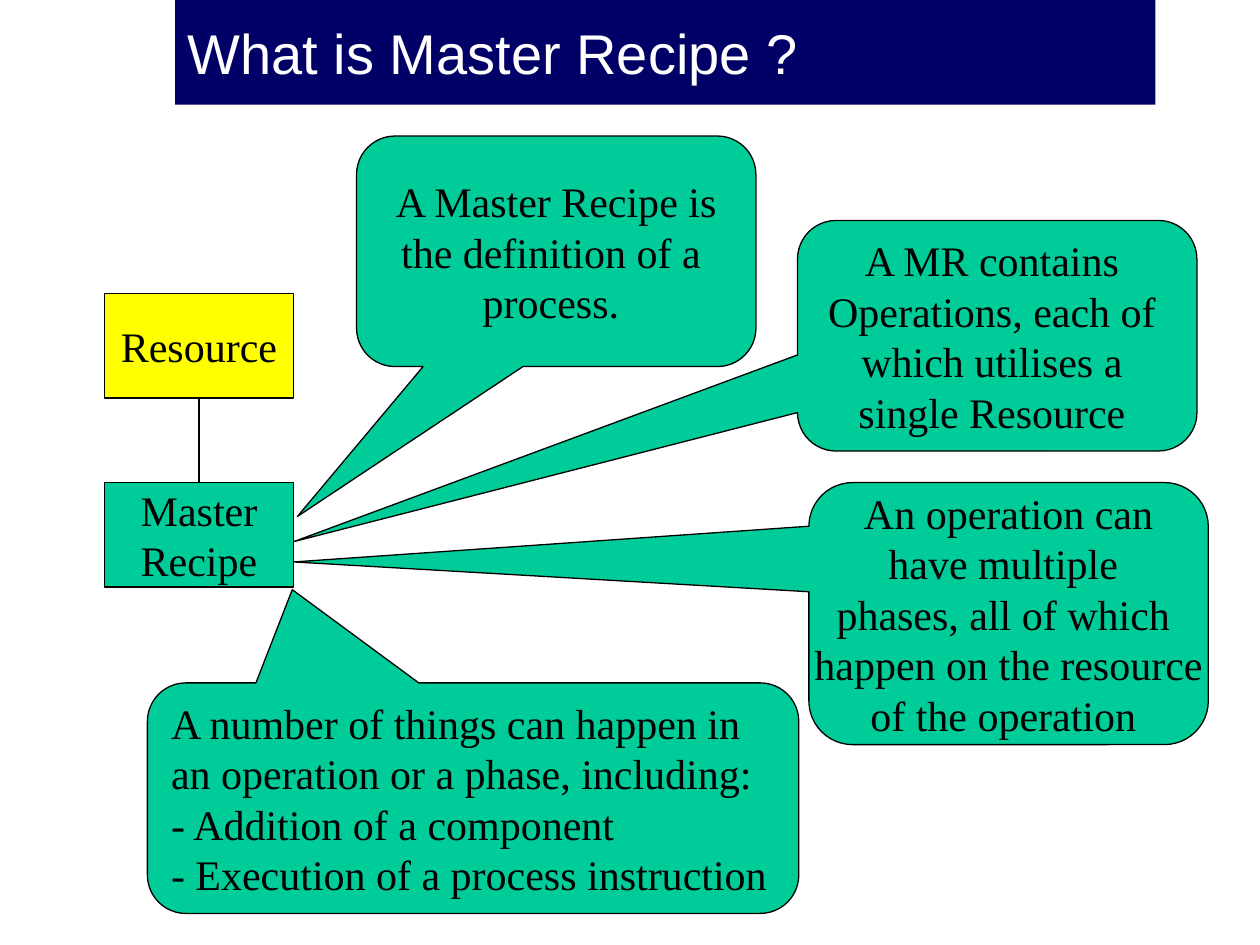
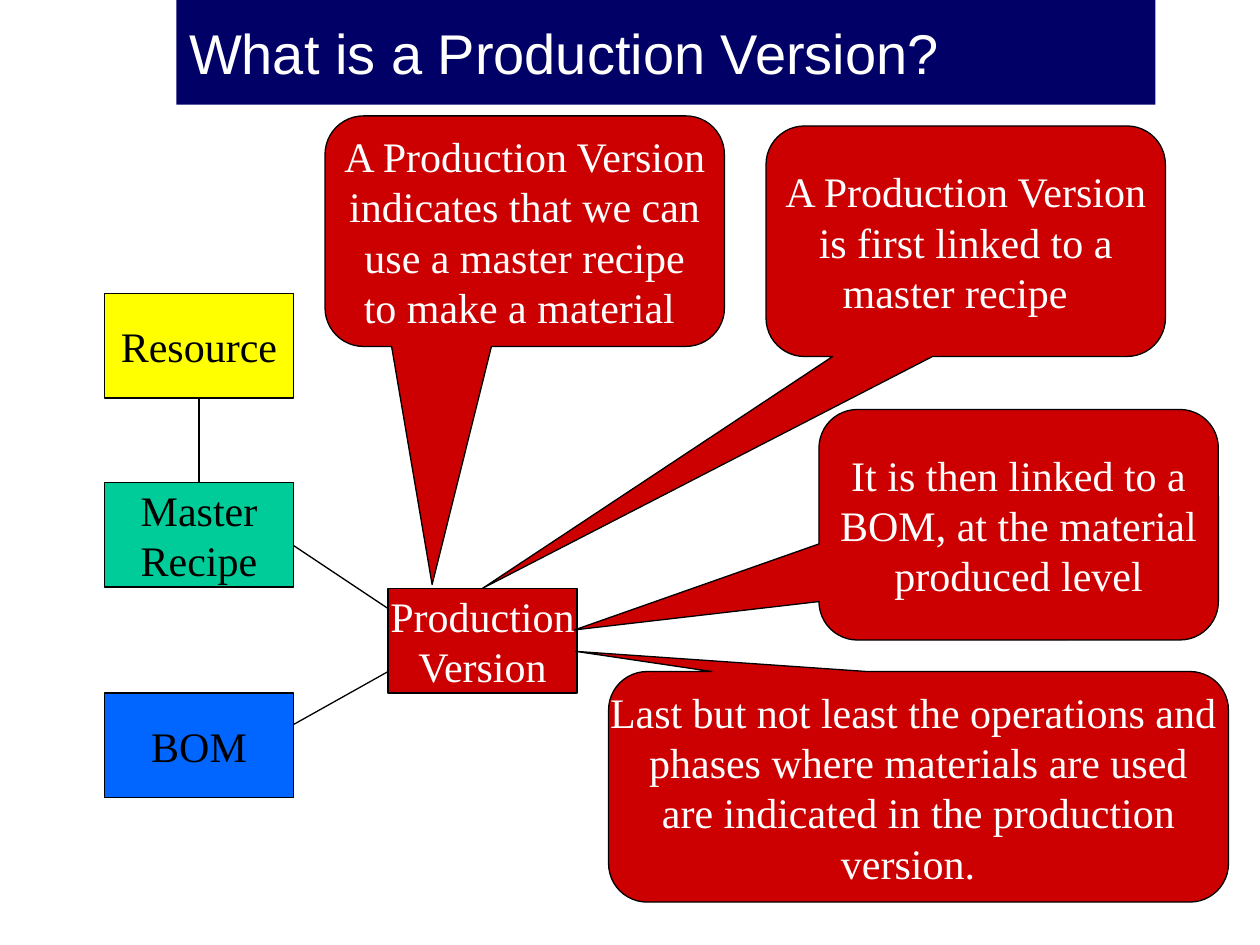
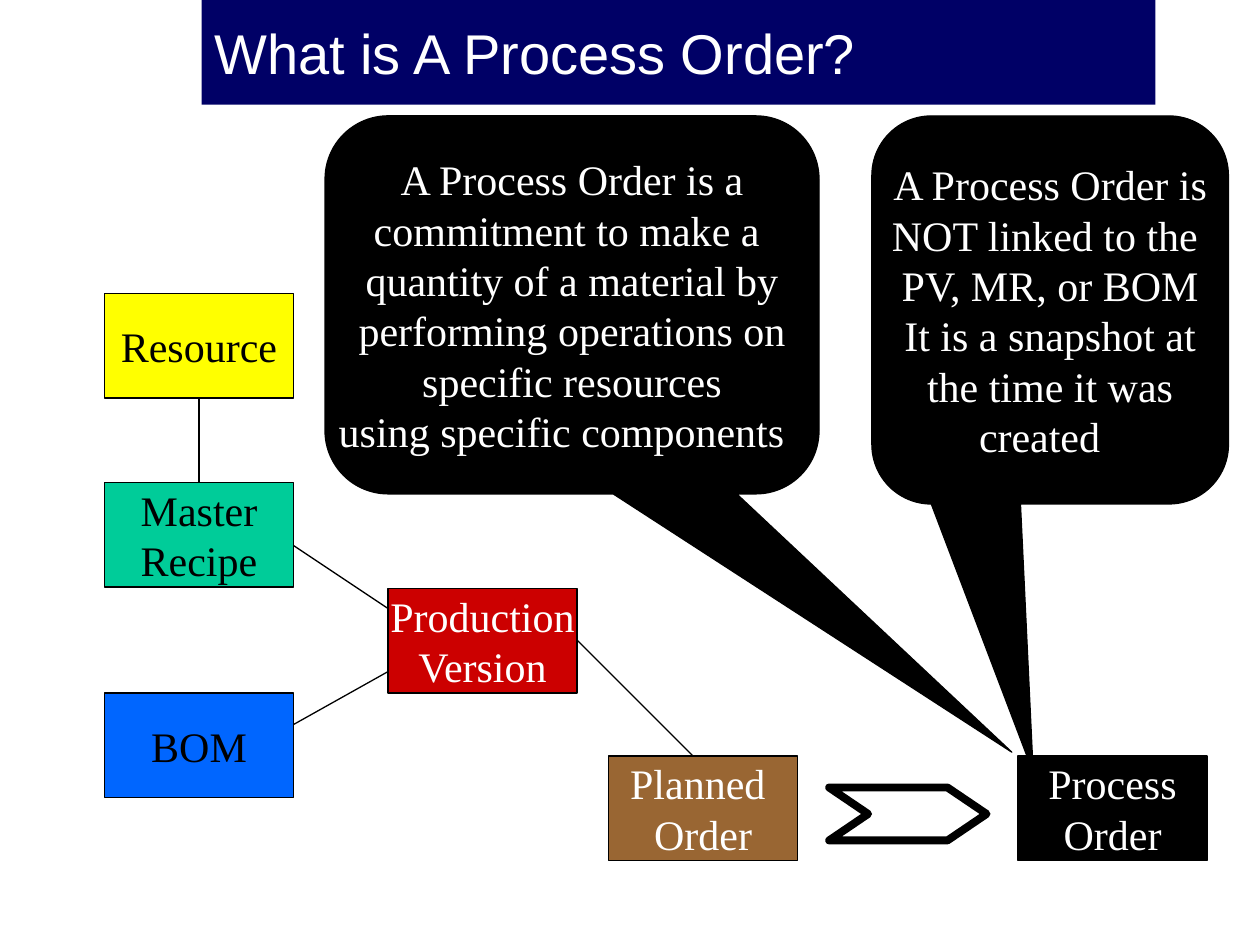
from dataclasses import dataclass

from pptx import Presentation
from pptx.dml.color import RGBColor
from pptx.enum.shapes import MSO_CONNECTOR, MSO_SHAPE as SHAPE
from pptx.enum.text import MSO_ANCHOR, MSO_AUTO_SIZE, PP_ALIGN as ALIGN
from pptx.oxml import parse_xml
from pptx.oxml.ns import nsdecls
from pptx.util import Inches, Pt

# Shared style
COLORS = {
    "navy": "000066", "yellow": "FFFF00", "green": "00CC99", "blue": "0066FF",
    "red": "CC0000", "brown": "996633", "black": "000000", "white": "FFFFFF",
}
TITLE_FONT, BODY_FONT = "Arial", "Times New Roman"
TITLE_SIZE, BODY_SIZE = 32, 24
BAND_RIGHT, BAND_H = 9.17, 0.83
NODE_W, NODE_H = 1.5, 0.83
CALLOUT_W, CALLOUT_H = 3.17, 1.83
CORNER = 0.167
THIN, THICK = 0.75, 4.5

Point = tuple[float, float]


@dataclass(frozen=True)
class Node:
    left: float
    top: float
    fill: str
    ink: str
    lines: tuple[str, ...]


@dataclass(frozen=True)
class Callout:
    left: float
    top: float
    tip: Point
    lines: tuple[str, ...]
    width: float = CALLOUT_W
    height: float = CALLOUT_H
    align: ALIGN = ALIGN.CENTER


@dataclass(frozen=True)
class Page:
    title: str
    band_left: float
    nodes: tuple[Node, ...]
    links: tuple[tuple[Point, Point], ...]
    fill: str
    ink: str
    callouts: tuple[Callout, ...]


def rgb(name: str) -> RGBColor:
    return RGBColor.from_string(COLORS[name])


def paint(shape, fill: str, line_width: float = THIN) -> None:
    shape.shadow.inherit = False
    shape.fill.solid()
    shape.fill.fore_color.rgb = rgb(fill)
    shape.line.color.rgb = rgb("black")
    shape.line.width = Pt(line_width)


def write(tf, lines: tuple[str, ...], font: str, size: float, ink: str,
          align: ALIGN) -> None:
    tf.vertical_anchor = MSO_ANCHOR.MIDDLE
    for i, line in enumerate(lines):
        p = tf.paragraphs[0] if i == 0 else tf.add_paragraph()
        p.alignment = align
        r = p.add_run()
        r.text = line
        r.font.name = font
        r.font.size = Pt(size)
        r.font.color.rgb = rgb(ink)


def add_title(s, text: str, left: float) -> None:
    title = s.shapes.title
    title.left, title.top = Inches(left), Inches(0)
    title.width, title.height = Inches(BAND_RIGHT - left), Inches(BAND_H)
    title.fill.solid()
    title.fill.fore_color.rgb = rgb("navy")
    tf = title.text_frame
    tf.auto_size = MSO_AUTO_SIZE.NONE
    tf.word_wrap = True
    write(tf, (text,), TITLE_FONT, TITLE_SIZE, "white", ALIGN.LEFT)


def add_node(s, node: Node) -> None:
    sp = s.shapes.add_shape(SHAPE.RECTANGLE, Inches(node.left), Inches(node.top),
                            Inches(NODE_W), Inches(NODE_H))
    paint(sp, node.fill)
    sp.text_frame.word_wrap = False
    write(sp.text_frame, node.lines, BODY_FONT, BODY_SIZE, node.ink, ALIGN.CENTER)


def add_callout(s, c: Callout, fill: str, ink: str) -> None:
    sp = s.shapes.add_shape(SHAPE.ROUNDED_RECTANGULAR_CALLOUT, Inches(c.left),
                            Inches(c.top), Inches(c.width), Inches(c.height))
    # The tip is stored relative to the centre, in shares of the size
    sp.adjustments[0] = (c.tip[0] - c.left) / c.width - 0.5
    sp.adjustments[1] = (c.tip[1] - c.top) / c.height - 0.5
    sp.adjustments[2] = CORNER
    paint(sp, fill)
    sp.text_frame.word_wrap = False
    write(sp.text_frame, c.lines, BODY_FONT, BODY_SIZE, ink, c.align)


def add_link(s, start: Point, end: Point) -> None:
    line = s.shapes.add_connector(MSO_CONNECTOR.STRAIGHT,
                                  *(Inches(v) for v in (*start, *end)))
    line.line.color.rgb = rgb("black")
    line.line.width = Pt(THIN)
    line._element.spPr.append(parse_xml(f"<a:effectLst {nsdecls('a')}/>"))


def add_notched_arrow(s, left: float, top: float, width: float, height: float,
                      notch: float) -> None:
    right, middle, bottom = left + width, top + height / 2, top + height
    outline = [(right - notch, top), (right, middle), (right - notch, bottom),
               (left, bottom), (left + notch, middle)]
    builder = s.shapes.build_freeform(Inches(left), Inches(top))
    builder.add_line_segments([(Inches(x), Inches(y)) for x, y in outline])
    paint(builder.convert_to_shape(), "white", THICK)


# The flow grows from slide to slide
RESOURCE = Node(0.83, 2.33, "yellow", "black", ("Resource",))
RECIPE = Node(0.83, 3.83, "green", "black", ("Master", "Recipe"))
BOM = Node(0.83, 5.5, "blue", "black", ("BOM",))
VERSION = Node(3.08, 4.67, "red", "white", ("Production", "Version"))
PLANNED = Node(4.83, 6, "brown", "white", ("Planned ", "Order"))
PROCESS = Node(8.08, 6, "black", "white", ("Process", "Order"))

RECIPE_NODES = (RESOURCE, RECIPE)
VERSION_NODES = RECIPE_NODES + (BOM, VERSION)
ORDER_NODES = VERSION_NODES + (PLANNED, PROCESS)

RECIPE_LINKS = (((1.58, 3.17), (1.58, 3.83)),)
VERSION_LINKS = RECIPE_LINKS + (((2.33, 4.33), (3.08, 4.83)),
                                ((2.33, 5.75), (3.08, 5.33)))
ORDER_LINKS = VERSION_LINKS + (((4.58, 5.08), (5.5, 6)),)

PAGES = (
    Page("What is Master Recipe ?", 1.39, RECIPE_NODES, RECIPE_LINKS,
         "green", "black", (
             Callout(2.83, 1.08, (2.36, 4.1),
                     ("A Master Recipe is", "the definition of a ", "process. ")),
             Callout(1.17, 5.42, (2.32, 4.68),
                     ("A number of things can happen in",
                      "an operation or a phase, including:",
                      "- Addition of a component ",
                      "- Execution of a process instruction"),
                     width=5.17, align=ALIGN.LEFT),
             Callout(6.33, 1.75, (2.33, 4.3),
                     ("A MR contains ", "Operations, each of ",
                      "which utilises a ", "single Resource ")),
             Callout(6.42, 3.83, (2.33, 4.46),
                     ("An operation can", "have multiple ",
                      "phases, all of which ", "happen on the resource",
                      "of the operation "), height=2.08),
         )),
    Page("What is a Production Version?", 1.4, VERSION_NODES, VERSION_LINKS,
         "red", "white", (
             Callout(2.58, 0.92, (3.43, 4.64),
                     ("A Production Version", "indicates that we can",
                      "use a master recipe", " to make a material  ")),
             Callout(6.08, 1, (3.83, 4.67),
                     ("A Production Version", "is first linked to a",
                      "master recipe  ")),
             Callout(6.5, 3.25, (4.56, 5),
                     ("It is then linked to a", "BOM, at the material",
                      "produced level")),
             Callout(4.83, 5.33, (4.57, 5.17),
                     ("Last but not least the operations and ",
                      "phases where materials are used",
                      "are indicated in the production", "version.  "),
                     width=4.92),
         )),
    Page("What is A Process Order?", 1.6, ORDER_NODES, ORDER_LINKS,
         "black", "white", (
             Callout(2.58, 0.92, (8.03, 5.97),
                     ("A Process Order is a", "commitment to make a ",
                      "quantity of a material by", "performing operations on",
                      "specific resources", "using specific components  "),
                     width=3.92, height=3),
             Callout(6.92, 0.92, (8.2, 6.13),
                     ("A Process Order is", "NOT linked to the ",
                      "PV, MR, or BOM", "It is a snapshot at",
                      "the time it was", "created  "),
                     width=2.83, height=3.08),
         )),
)

# Build the slides
prs = Presentation()
prs.slide_width, prs.slide_height = Inches(10), Inches(7.5)
title_only = prs.slide_layouts.get_by_name("Title Only")

for page in PAGES:
    s = prs.slides.add_slide(title_only)
    add_title(s, page.title, page.band_left)
    for node in page.nodes:
        add_node(s, node)
    for start, end in page.links:
        add_link(s, start, end)
    for callout in page.callouts:
        add_callout(s, callout, page.fill, page.ink)
    # A planned order turns into a process order
    if PROCESS in page.nodes:
        add_notched_arrow(s, 6.58, 6.25, 1.25, 0.42, notch=0.31)

prs.save("out.pptx")
